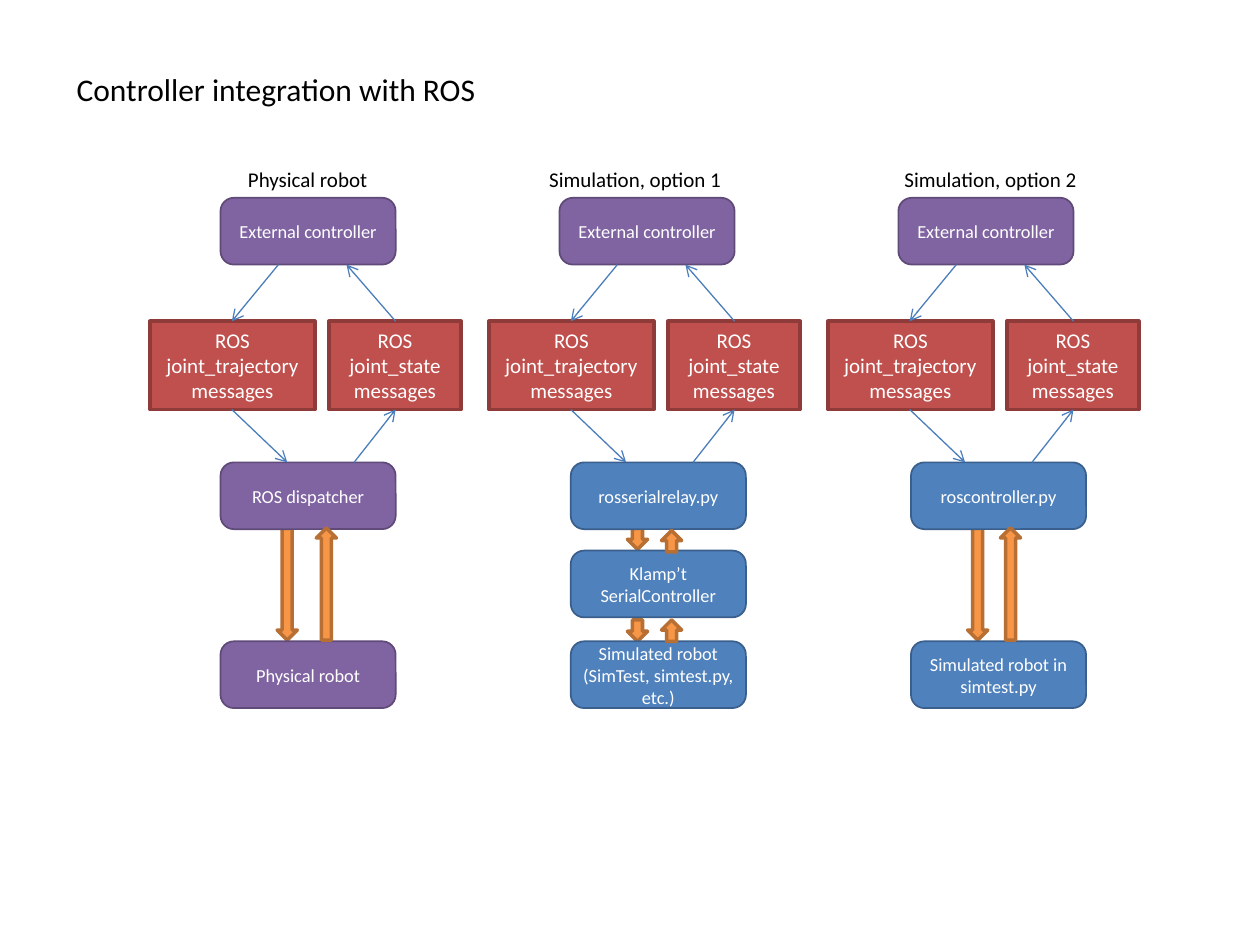
from dataclasses import dataclass

from lxml.etree import SubElement
from pptx import Presentation
from pptx.dml.color import RGBColor
from pptx.enum.shapes import MSO_CONNECTOR as Connector, MSO_SHAPE as Shape
from pptx.enum.text import MSO_ANCHOR as Anchor, MSO_AUTO_SIZE as AutoSize, PP_ALIGN as Align
from pptx.oxml.ns import qn
from pptx.util import Inches, Pt

FONT = "Calibri"
COLUMN_LEFT, COLUMN_PITCH = 1.19, 2.69
BOX_WIDTH, BOX_HEIGHT = 1.39, 0.53
CONTROLLER_TOP, MESSAGE_TOP, RELAY_TOP, SERIAL_TOP, ROBOT_TOP = 1.57, 2.55, 3.67, 4.37, 5.09
MESSAGE_HEIGHT = 0.7
CONTROLLER_BOTTOM = CONTROLLER_TOP + BOX_HEIGHT
MESSAGE_BOTTOM = MESSAGE_TOP + MESSAGE_HEIGHT
LONG, SHORT = 0.89, 0.17


@dataclass(frozen=True)
class Style:
    fill: str
    line: str
    line_width: float
    size: float = 10.5


@dataclass(frozen=True)
class Stage:
    text: str
    top: float


@dataclass(frozen=True)
class Flow:
    top: float
    height: float
    upward: bool = False


@dataclass(frozen=True)
class Column:
    heading: str
    heading_left: float
    heading_width: float
    lower_left: float
    up_offset: float
    style: Style
    stages: tuple[Stage, ...]
    flows: tuple[Flow, ...]


PURPLE = Style("8064A2", "5F4A78", 1)
BLUE = Style("4F81BD", "3A5F8C", 1)
RED = Style("C0504D", "8E3B39", 2, 12)
ORANGE = Style("F79646", "B76F34", 2)

LONG_FLOWS = (Flow(4.19, LONG), Flow(4.19, LONG, True))
SHORT_FLOWS = (Flow(4.19, SHORT), Flow(4.92, SHORT), Flow(4.21, SHORT, True), Flow(4.92, SHORT, True))

COLUMNS = (
    Column("Physical robot", 1.87, 1.16, 1.75, 0.76, PURPLE,
           (Stage("ROS dispatcher", RELAY_TOP), Stage("Physical robot", ROBOT_TOP)), LONG_FLOWS),
    Column("Simulation, option 1", 4.26, 1.58, 4.53, 0.72, BLUE,
           (Stage("rosserialrelay.py", RELAY_TOP), Stage("Klamp’t SerialController", SERIAL_TOP),
            Stage("Simulated robot (SimTest, simtest.py, etc.)", ROBOT_TOP)), SHORT_FLOWS),
    Column("Simulation, option 2", 7.08, 1.58, 7.23, 0.71, BLUE,
           (Stage("roscontroller.py", RELAY_TOP), Stage("Simulated robot in simtest.py", ROBOT_TOP)), LONG_FLOWS),
)

LINKS = (
    (1.02, CONTROLLER_BOTTOM, 0.65, MESSAGE_TOP),
    (1.95, MESSAGE_TOP, 1.56, CONTROLLER_BOTTOM),
    (0.65, MESSAGE_BOTTOM, 1.09, RELAY_TOP),
    (1.62, RELAY_TOP, 1.95, MESSAGE_BOTTOM),
)


def colour(value: str) -> RGBColor:
    return RGBColor.from_string(value)


def add_span(para, text: str, size: float, value: str) -> None:
    span = para.add_run()
    span.text = text
    span.font.name = FONT
    span.font.size = Pt(size)
    span.font.color.rgb = colour(value)


def add_label(page, text: str, left: float, top: float, width: float, height: float, size: float) -> None:
    frame = page.shapes.add_textbox(Inches(left), Inches(top), Inches(width), Inches(height)).text_frame
    frame.word_wrap = False
    frame.auto_size = AutoSize.SHAPE_TO_FIT_TEXT
    add_span(frame.paragraphs[0], text, size, "000000")


def add_figure(page, kind, left: float, top: float, width: float, height: float, style: Style):
    figure = page.shapes.add_shape(kind, Inches(left), Inches(top), Inches(width), Inches(height))
    figure.shadow.inherit = False
    figure.fill.solid()
    figure.fill.fore_color.rgb = colour(style.fill)
    figure.line.color.rgb = colour(style.line)
    figure.line.width = Pt(style.line_width)
    return figure


def add_caption(box, text: str, size: float) -> None:
    frame = box.text_frame
    frame.word_wrap = True
    frame.vertical_anchor = Anchor.MIDDLE
    para = frame.paragraphs[0]
    para.alignment = Align.CENTER
    add_span(para, text, size, "FFFFFF")


def add_stage(page, left: float, stage: Stage, style: Style) -> None:
    box = add_figure(page, Shape.ROUNDED_RECTANGLE, left, stage.top, BOX_WIDTH, BOX_HEIGHT, style)
    box.adjustments[0] = 0.2
    frame = box.text_frame
    frame.margin_left = frame.margin_right = frame.margin_top = frame.margin_bottom = 0
    add_caption(box, stage.text, style.size)


def add_message(page, left: float, width: float, topic: str) -> None:
    box = add_figure(page, Shape.RECTANGLE, left, MESSAGE_TOP, width, MESSAGE_HEIGHT, RED)
    add_caption(box, f"ROS {topic} messages", RED.size)


def add_flow(page, column: Column, flow: Flow) -> None:
    left = column.lower_left + (column.up_offset if flow.upward else 0.45)
    arrow = add_figure(page, Shape.DOWN_ARROW, left, flow.top, 0.16, flow.height, ORANGE)
    arrow.rotation = 180 if flow.upward else 0


def add_link(page, x1: float, y1: float, x2: float, y2: float) -> None:
    link = page.shapes.add_connector(Connector.STRAIGHT, Inches(x1), Inches(y1), Inches(x2), Inches(y2))
    link.line.color.rgb = colour("4B7EBC")
    link.line.width = Pt(0.75)
    SubElement(link.line._get_or_add_ln(), qn("a:tailEnd"), type="arrow")
    SubElement(link._element.spPr, qn("a:effectLst"))


def add_column(page, left: float, column: Column) -> None:
    for flow in column.flows:
        if not flow.upward:
            add_flow(page, column, flow)
    add_label(page, column.heading, column.heading_left, 1.27, column.heading_width, 0.3, 12)
    add_stage(page, left + 0.56, Stage("External controller", CONTROLLER_TOP), PURPLE)
    add_message(page, left, 1.31, "joint_trajectory")
    add_message(page, left + 1.42, 1.05, "joint_state")
    for stage in column.stages:
        add_stage(page, column.lower_left, stage, column.style)
    for x1, y1, x2, y2 in LINKS:
        add_link(page, left + x1, y1, left + x2, y2)
    for flow in column.flows:
        if flow.upward:
            add_flow(page, column, flow)


def main() -> None:
    """Build the controller integration slide and save it."""
    deck = Presentation()
    deck.slide_width, deck.slide_height = Inches(10), Inches(7.5)
    page = deck.slides.add_slide(deck.slide_layouts[6])
    add_label(page, "Controller integration with ROS", 0.51, 0.51, 3.4, 0.4, 18)
    for index, column in enumerate(COLUMNS):
        add_column(page, COLUMN_LEFT + index * COLUMN_PITCH, column)
    deck.save("out.pptx")


if __name__ == "__main__":
    main()
